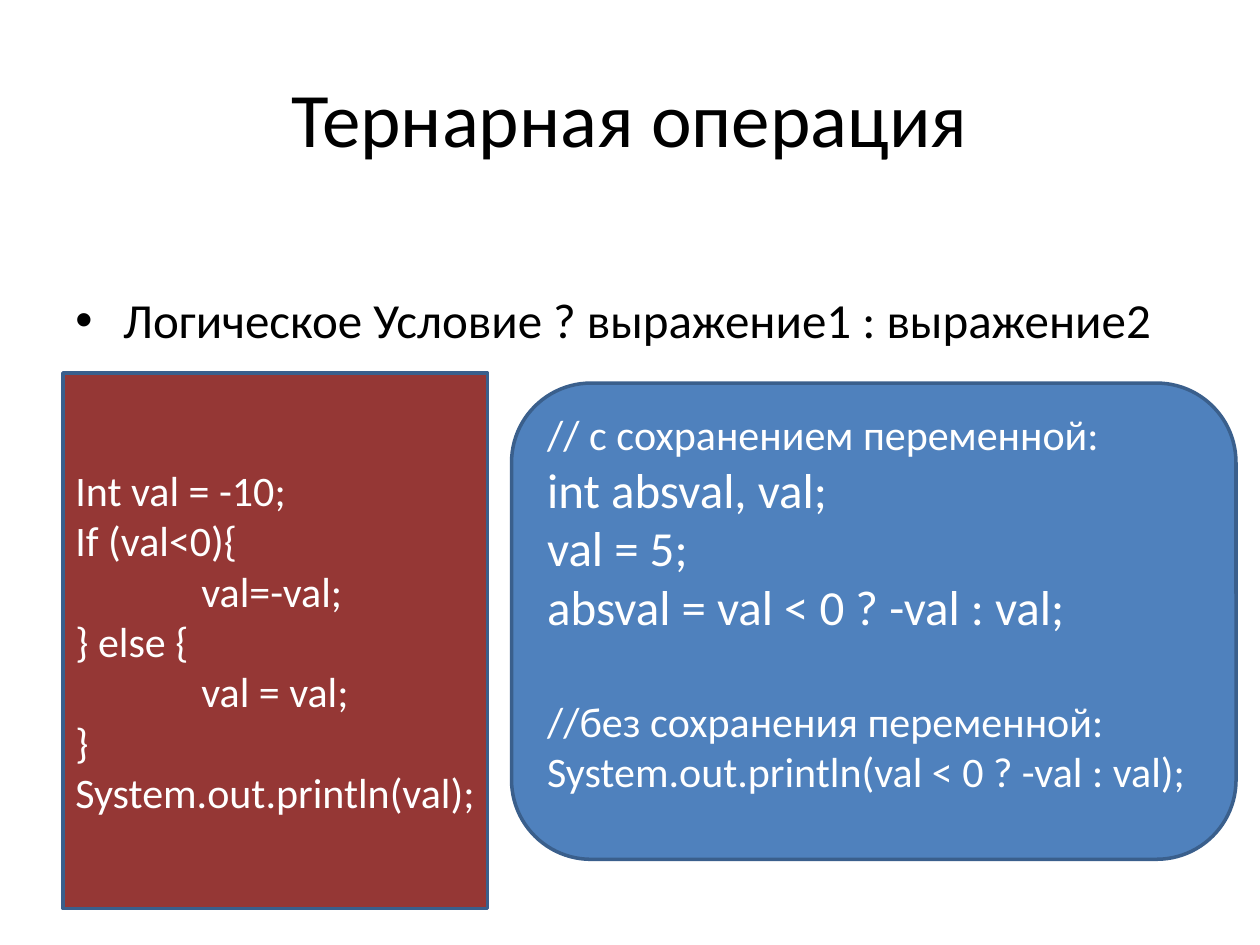
from dataclasses import dataclass

from lxml import etree
from pptx import Presentation
from pptx.dml.color import RGBColor
from pptx.enum import shapes, text
from pptx.oxml.ns import qn
from pptx.util import Inches, Pt

FONT = "Calibri"
BLACK, WHITE, RED, BLUE, EDGE = "000000", "FFFFFF", "953735", "4F81BD", "3A5F8C"


@dataclass
class Line:
    text: str
    size: int = 24
    before: int = 0


@dataclass
class CodeBox:
    kind: shapes.MSO_SHAPE
    at: tuple[float, float, float, float]
    fill: str
    lines: list[Line]
    bottom: float = 0.05


def rgb(value: str) -> RGBColor:
    return RGBColor.from_string(value)


def place(sp, at: tuple[float, float, float, float]) -> None:
    for name, value in zip(("left", "top", "width", "height"), at):
        setattr(sp, name, Inches(value))


def write(p, line: Line, color: str, align=text.PP_ALIGN.LEFT) -> None:
    for name, value in {"alignment": align, "space_before": Pt(line.before)}.items():
        setattr(p, name, value)
    r = p.add_run()
    r.text = line.text
    for name, value in {"name": FONT, "size": Pt(line.size)}.items():
        setattr(r.font, name, value)
    r.font.color.rgb = rgb(color)


def add_bullet(p, indent: float) -> None:
    pPr = p._p.get_or_add_pPr()
    pPr.set("marL", str(Inches(indent)))
    pPr.set("indent", str(-Inches(indent)))
    etree.SubElement(pPr, qn("a:buFont"), typeface="Arial")
    etree.SubElement(pPr, qn("a:buChar"), char="•")


def add_tab_stop(p, pos: float) -> None:
    tabs = etree.SubElement(p._p.get_or_add_pPr(), qn("a:tabLst"))
    etree.SubElement(tabs, qn("a:tab"), pos=str(Inches(pos)), algn="l")


def add_code_box(s, box: CodeBox) -> None:
    sp = s.shapes.add_shape(box.kind, *(Inches(v) for v in box.at))
    sp.shadow.inherit = False
    sp.fill.solid()
    sp.fill.fore_color.rgb = rgb(box.fill)
    sp.line.color.rgb = rgb(EDGE)
    sp.line.width = Pt(2)
    tf = sp.text_frame
    for name, value in {"word_wrap": True, "margin_bottom": Inches(box.bottom),
                        "vertical_anchor": text.MSO_ANCHOR.MIDDLE}.items():
        setattr(tf, name, value)
    for i, line in enumerate(box.lines):
        p = tf.add_paragraph() if i else tf.paragraphs[0]
        write(p, line, WHITE)
        if line.text.startswith("\t"):
            add_tab_stop(p, 1)


BOXES = [
    CodeBox(shapes.MSO_SHAPE.RECTANGLE, (0.5, 2.96, 3.37, 4.25), RED, [
        Line("Int val = -10;"),
        Line("If (val<0){"),
        Line("\tval=-val;"),
        Line("} else {"),
        Line("\tval = val;"),
        Line("}"),
        Line("System.out.println(val);"),
    ]),
    CodeBox(shapes.MSO_SHAPE.ROUNDED_RECTANGLE, (4.06, 3.04, 5.75, 3.78), BLUE, [
        Line("// с сохранением переменной:"),
        Line("int absval, val;", 28),
        Line("val = 5;", 28),
        Line("absval = val < 0 ? -val : val;", 28),
        Line("//без сохранения переменной:", before=34),
        Line("System.out.println(val < 0 ? -val : val);"),
    ], bottom=0.35),
]


def main() -> None:
    prs = Presentation()
    prs.slide_width, prs.slide_height = Inches(10), Inches(7.5)
    s = prs.slides.add_slide(prs.slide_layouts[5])

    # Title
    title = s.shapes.title
    place(title, (0.5, 0.3, 9, 1.25))
    title.text_frame.vertical_anchor = text.MSO_ANCHOR.MIDDLE
    write(title.text_frame.paragraphs[0], Line("Тернарная операция", 44), BLACK,
          text.PP_ALIGN.CENTER)

    # Syntax bullet
    body = s.shapes.add_textbox(*(Inches(v) for v in (0.5, 2.25, 9.5, 4.95)))
    body.fill.solid()
    body.fill.fore_color.rgb = rgb(WHITE)
    body.text_frame.word_wrap = True
    p = body.text_frame.paragraphs[0]
    write(p, Line("Логическое Условие ? выражение1 : выражение2", 28), BLACK)
    add_bullet(p, 0.38)

    # Code examples
    for box in BOXES:
        add_code_box(s, box)

    prs.save("out.pptx")


if __name__ == "__main__":
    main()
